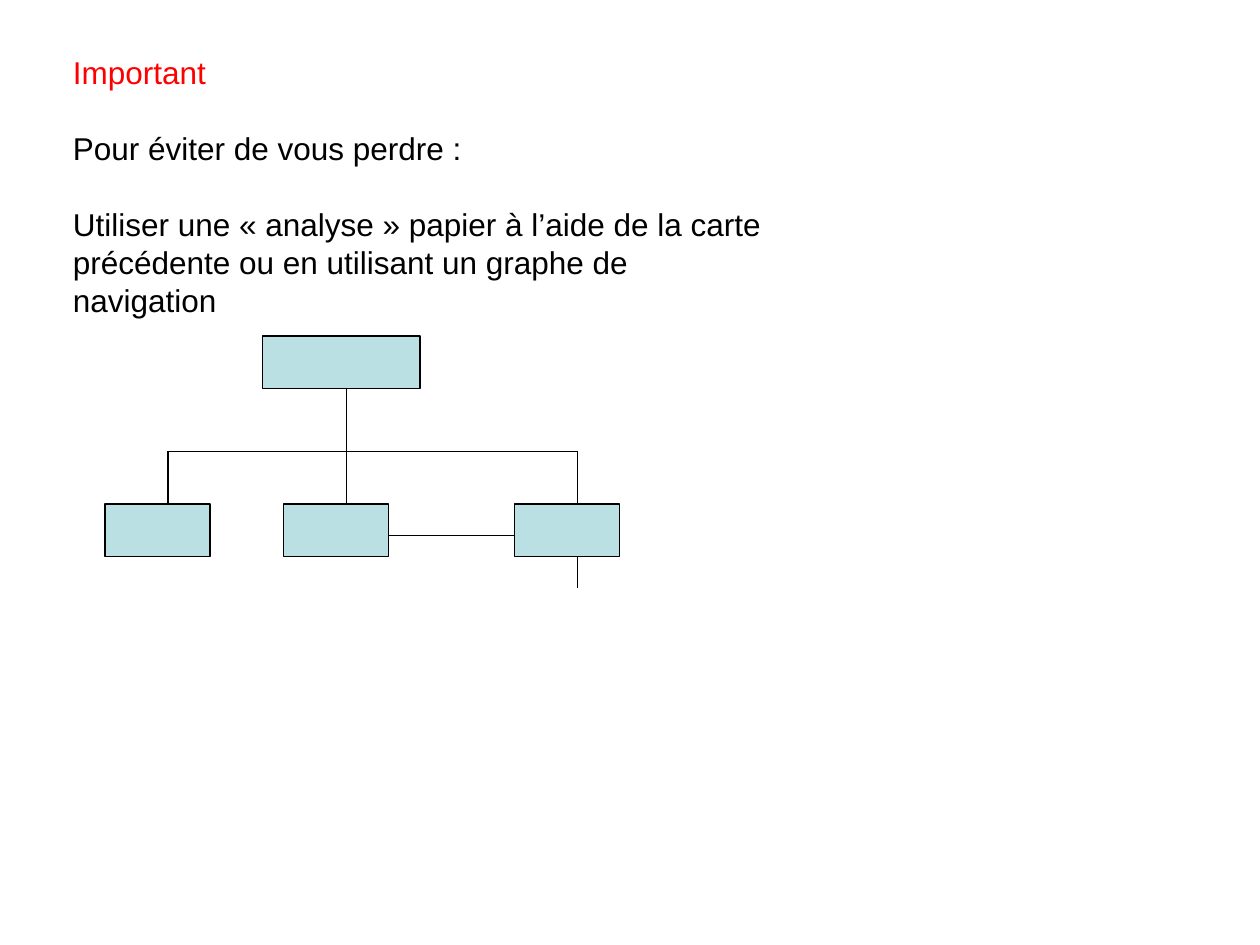
from dataclasses import dataclass

from pptx import Presentation, util as u
from pptx.dml.color import RGBColor
from pptx.enum import shapes, text
from pptx.oxml.ns import qn
from lxml import etree


@dataclass(frozen=True)
class Theme:
    font: str = "Arial"
    size: u.Pt = u.Pt(18)
    gap: u.Pt = u.Pt(22)
    accent: RGBColor = RGBColor(0xFF, 0, 0)
    ink: RGBColor = RGBColor(0, 0, 0)
    node: RGBColor = RGBColor(0xBB, 0xE0, 0xE3)
    line: u.Pt = u.Pt(0.75)


@dataclass(frozen=True)
class Node:
    col: int
    row: int
    cols: int
    rows: int = 5


@dataclass(frozen=True)
class Link:
    col: int
    row: int
    end_col: int
    end_row: int


THEME = Theme()
CELL = u.Inches(1) // 12  # the graph sits on a grid of twelfths of an inch

# Rows and columns of the navigation graph
BUS_ROW, CHILD_ROW = 43, 48
ROOT = Node(25, 32, 15)
CHILDREN = [Node(col, CHILD_ROW, 10) for col in (10, 27, 49)]
STEMS = [child.col + 6 for child in CHILDREN]
ROOT_BOTTOM, CHILD_BOTTOM = ROOT.row + ROOT.rows, CHILD_ROW + 5
LINKS = [
    Link(STEMS[1], ROOT_BOTTOM, STEMS[1], BUS_ROW),
    Link(STEMS[0], BUS_ROW, STEMS[-1], BUS_ROW),
    *(Link(stem, BUS_ROW, stem, CHILD_ROW) for stem in STEMS),
    Link(CHILDREN[1].col + 10, CHILD_ROW + 3, CHILDREN[2].col, CHILD_ROW + 3),
    Link(STEMS[-1], CHILD_BOTTOM, STEMS[-1], CHILD_BOTTOM + 3),
]

PARAGRAPHS = [
    ("Important", THEME.accent),
    ("Pour éviter de vous perdre :", THEME.ink),
    ("Utiliser une « analyse » papier à l’aide de la carte\v"
     "précédente ou en utilisant un graphe de navigation", THEME.ink),
]


def add_advice(s) -> None:
    box = s.shapes.add_textbox(u.Inches(0.48), u.Inches(0.37), u.Inches(5.81), u.Inches(2.5))
    tf = box.text_frame
    tf.word_wrap = False
    tf.vertical_anchor = text.MSO_ANCHOR.TOP
    for i, (words, color) in enumerate(PARAGRAPHS):
        p = tf.add_paragraph() if i else tf.paragraphs[0]
        p.text = words
        p.space_before = THEME.gap if i else u.Pt(0)
        p.font.name, p.font.size = THEME.font, THEME.size
        p.font.color.rgb = color


def add_node(s, node: Node) -> None:
    sp = s.shapes.add_shape(shapes.MSO_SHAPE.RECTANGLE, node.col * CELL, node.row * CELL,
                            node.cols * CELL, node.rows * CELL)
    sp.shadow.inherit = False
    sp.fill.solid()
    sp.fill.fore_color.rgb = THEME.node
    sp.line.color.rgb = THEME.ink
    sp.line.width = THEME.line


def add_link(s, link: Link) -> None:
    cx = s.shapes.add_connector(shapes.MSO_CONNECTOR.STRAIGHT, link.col * CELL, link.row * CELL,
                                link.end_col * CELL, link.end_row * CELL)
    cx.line.color.rgb = THEME.ink
    cx.line.width = THEME.line
    etree.SubElement(cx._element.spPr, qn("a:effectLst"))


def main() -> None:
    prs = Presentation()
    prs.slide_width, prs.slide_height = u.Inches(10), u.Inches(7.5)
    s = prs.slides.add_slide(prs.slide_layouts[6])

    # Advice text
    add_advice(s)

    # Navigation graph
    for link in LINKS:
        add_link(s, link)
    for node in (ROOT, *CHILDREN):
        add_node(s, node)

    prs.save("out.pptx")


if __name__ == "__main__":
    main()
